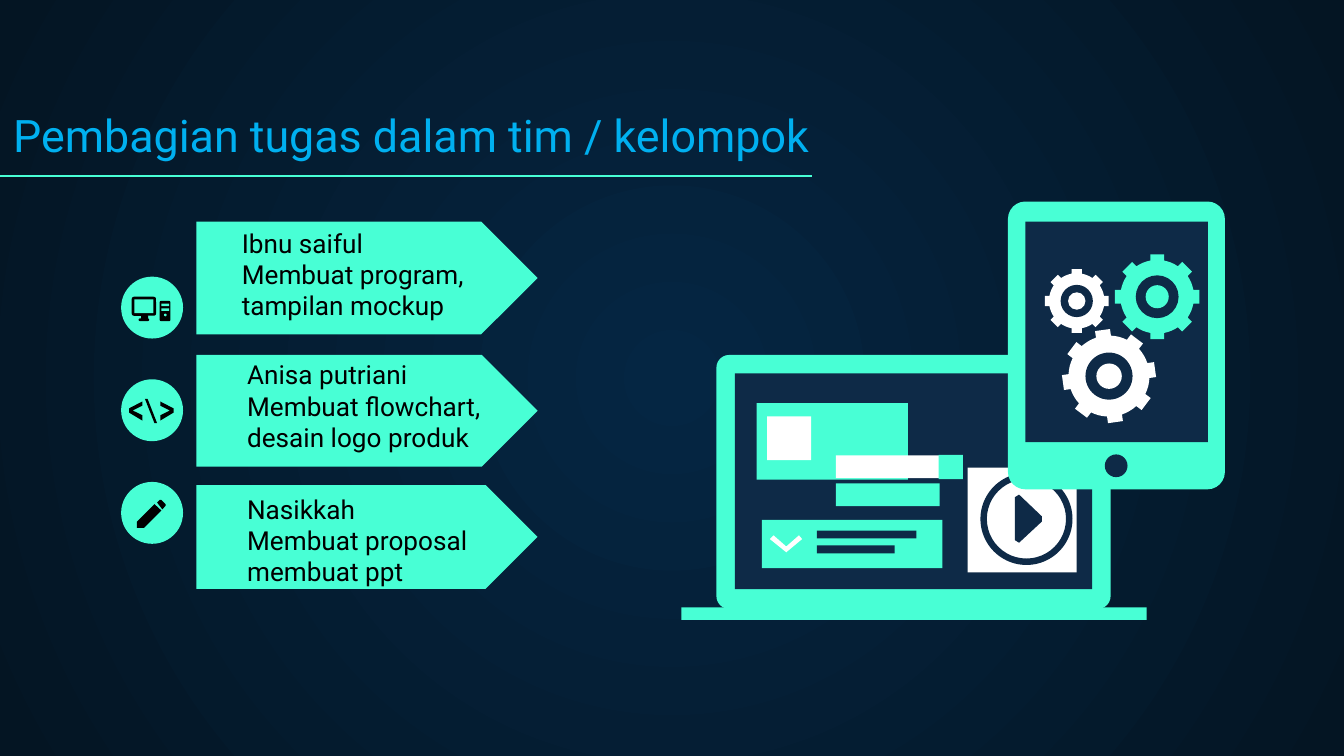
from dataclasses import dataclass
from math import asin, cos, pi, radians, sin
from typing import NamedTuple, Optional

from lxml.etree import SubElement
from pptx import Presentation
from pptx.dml.color import RGBColor
from pptx.enum.shapes import MSO_CONNECTOR as Connector, MSO_SHAPE as Preset
from pptx.enum.text import MSO_ANCHOR as Anchor, MSO_AUTO_SIZE as AutoSize
from pptx.oxml.ns import qn
from pptx.util import Cm, Pt


@dataclass(frozen=True)
class Theme:
    accent: str = "48FFD5"
    navy: str = "0E2A47"
    white: str = "FFFFFF"
    black: str = "000000"
    title: str = "00B0F0"
    glow: str = "052643"
    edge: str = "041523"
    font: str = "Roboto"
    title_size: float = 24
    body_size: float = 14
    line_width: float = 0.75


THEME = Theme()


class Box(NamedTuple):
    """Left, top, width and height in centimetres."""
    left: float
    top: float
    width: float
    height: float


class Part(NamedTuple):
    box: Box
    color: str
    preset: Preset = Preset.RECTANGLE
    adjustment: Optional[float] = None


class Outline(NamedTuple):
    points: list
    color: str = THEME.black


class Gear(NamedTuple):
    x: float
    y: float
    radius: float
    color: str
    turn: float = 0


class Task(NamedTuple):
    text: str
    arrow: Box
    text_box: Box


TASKS = [
    Task("Ibnu saiful\vMembuat program, tampilan mockup",
         Box(3.71, 4.19, 6.45, 2.13), Box(4.32, 5.79, 5.77, 0.53)),
    Task("Anisa putriani\vMembuat flowchart,\vdesain logo produk",
         Box(3.71, 6.71, 6.45, 2.11), Box(4.42, 8.28, 5.77, 0.53)),
    Task("Nasikkah\vMembuat proposal\vmembuat ppt",
         Box(3.71, 9.17, 6.45, 1.96), Box(4.42, 10.82, 5.77, 0.53)),
]

BADGE_LEFT, BADGE_TOP, BADGE_SIZE, BADGE_STEP = 2.29, 5.23, 1.17, 1.94

COMPUTER_ICON = [
    Part(Box(2.49, 5.61, 0.46, 0.36), THEME.black, Preset.ROUNDED_RECTANGLE, 0.12),
    Part(Box(2.54, 5.66, 0.36, 0.26), THEME.accent),
    Part(Box(2.67, 5.96, 0.13, 0.08), THEME.black),
    Part(Box(2.62, 6.02, 0.2, 0.05), THEME.black, Preset.ROUNDED_RECTANGLE, 0.5),
    Part(Box(3.02, 5.69, 0.2, 0.38), THEME.black, Preset.ROUNDED_RECTANGLE, 0.1),
    Part(Box(3.05, 5.74, 0.15, 0.05), THEME.accent),
    Part(Box(3.05, 5.83, 0.15, 0.05), THEME.accent),
    Part(Box(3.1, 5.93, 0.05, 0.05), THEME.accent, Preset.OVAL),
]

LEFT_BRACKET = [(2.69, 7.95), (2.44, 7.8), (2.44, 7.72), (2.69, 7.59),
                (2.69, 7.67), (2.51, 7.76), (2.69, 7.85)]
CODE_ICON = [
    Outline(LEFT_BRACKET),
    Outline([(2.92, 8), (2.74, 7.54), (2.79, 7.54), (2.97, 8)]),
    Outline([(5.72 - x, y) for x, y in LEFT_BRACKET]),
]
PENCIL_ICON = [
    Outline([(2.92, 9.53), (2.59, 9.86), (2.59, 9.98), (2.72, 9.98), (3.05, 9.65)]),
    Outline([(2.97, 9.5), (3.02, 9.45), (3.05, 9.45), (3.13, 9.53),
             (3.13, 9.56), (3.07, 9.63)]),
]

LAPTOP = [
    Part(Box(13.54, 6.71, 7.45, 4.8), THEME.accent, Preset.ROUNDED_RECTANGLE, 0.05),
    Part(Box(13.89, 7.06, 6.75, 4.08), THEME.navy),
    Part(Box(12.88, 11.48, 8.79, 0.24), THEME.accent),
    Part(Box(14.3, 7.62, 2.86, 1.45), THEME.accent),
    Part(Box(14.5, 7.87, 0.83, 0.83), THEME.white),
    Part(Box(14.4, 9.83, 3.41, 0.91), THEME.accent),
    Part(Box(15.44, 10.03, 1.88, 0.15), THEME.navy),
    Part(Box(15.44, 10.31, 1.47, 0.15), THEME.navy),
    Part(Box(15.8, 9.14, 1.96, 0.43), THEME.accent),
    Part(Box(15.8, 8.61, 1.96, 0.43), THEME.white),
    Part(Box(17.74, 8.6, 0.46, 0.46), THEME.accent),
    Part(Box(18.29, 8.84, 2.06, 1.98), THEME.white),
    Part(Box(18.53, 8.94, 1.74, 1.74), THEME.navy, Preset.DONUT, 0.07),
]
LAPTOP_MARKS = [
    Outline([(14.55, 10.19), (14.62, 10.12), (14.86, 10.33), (15.1, 10.12),
             (15.16, 10.19), (14.86, 10.44)], THEME.white),
    Outline([(19.18, 9.4), (19.26, 9.35), (19.69, 9.76), (19.69, 9.86),
             (19.26, 10.26), (19.18, 10.21)], THEME.navy),
]
TABLET = [
    Part(Box(19.05, 3.81, 4.1, 5.44), THEME.accent, Preset.ROUNDED_RECTANGLE, 0.08),
    Part(Box(19.38, 4.19, 3.45, 4.17), THEME.navy),
    Part(Box(20.88, 8.59, 0.43, 0.43), THEME.navy, Preset.OVAL),
]
GEARS = [
    Gear(21.87, 5.61, 0.81, THEME.accent),
    Gear(20.35, 5.69, 0.61, THEME.white),
    Gear(20.96, 7.11, 0.89, THEME.white, -8),
]


def paint(shape, color: str) -> None:
    shape.shadow.inherit = False
    shape.fill.solid()
    shape.fill.fore_color.rgb = RGBColor.from_string(color)
    shape.line.fill.background()


def draw_part(slide, part: Part) -> None:
    shape = slide.shapes.add_shape(part.preset, *map(Cm, part.box))
    if part.adjustment is not None:
        shape.adjustments[0] = part.adjustment
    paint(shape, part.color)


def draw_outline(slide, outline: Outline) -> None:
    start, *others = [(Cm(x), Cm(y)) for x, y in outline.points]
    builder = slide.shapes.build_freeform(*start)
    builder.add_line_segments(others, close=True)
    paint(builder.convert_to_shape(), outline.color)


def draw_gear(slide, gear: Gear) -> None:
    """Draw eight teeth on a round body, then the dark ring and the hub."""
    teeth, root, half_tooth = 8, 0.86, 0.16
    base_angle, tip_angle = asin(half_tooth / root), asin(half_tooth)
    gap = 2 * pi / teeth - 2 * base_angle
    profile = [(root, -base_angle), (1, -tip_angle), (1, tip_angle)]
    profile += [(root, base_angle + gap * step / 4) for step in range(4)]
    points = []
    for tooth in range(teeth):
        turn = radians(gear.turn) + tooth * 2 * pi / teeth
        points += [(gear.x + gear.radius * reach * cos(turn + angle),
                    gear.y + gear.radius * reach * sin(turn + angle))
                   for reach, angle in profile]
    draw_outline(slide, Outline(points, gear.color))
    for ratio, color in ((0.5, THEME.navy), (0.27, gear.color)):
        radius = gear.radius * ratio
        box = Box(gear.x - radius, gear.y - radius, 2 * radius, 2 * radius)
        draw_part(slide, Part(box, color, Preset.OVAL))


def draw_text(slide, text: str, box: Box, size: float, color: str) -> None:
    frame = slide.shapes.add_textbox(*map(Cm, box)).text_frame
    frame_format = {"word_wrap": True, "auto_size": AutoSize.NONE,
                    "vertical_anchor": Anchor.BOTTOM}
    frame_format |= {f"margin_{side}": Cm(0.25)
                     for side in ("left", "top", "right", "bottom")}
    for name, value in frame_format.items():
        setattr(frame, name, value)
    paragraph = frame.paragraphs[0]
    paragraph.text = text
    for run in paragraph.runs:
        for name, value in {"name": THEME.font, "size": Pt(size)}.items():
            setattr(run.font, name, value)
        run.font.color.rgb = RGBColor.from_string(color)


def draw_title_rule(slide) -> None:
    rule = slide.shapes.add_connector(
        Connector.STRAIGHT, Cm(0), Cm(3.33), Cm(15.34), Cm(3.33))
    rule.line.color.rgb = RGBColor.from_string(THEME.accent)
    rule.line.width = Pt(THEME.line_width)
    SubElement(rule._element.spPr, qn("a:effectLst"))


def set_radial_background(slide) -> None:
    fill = slide.background.fill
    fill.gradient()
    for stop, color in zip(fill.gradient_stops, (THEME.glow, THEME.edge)):
        stop.color.rgb = RGBColor.from_string(color)
    gradient = slide._element.find(".//" + qn("a:gradFill"))
    gradient.remove(gradient.find(qn("a:lin")))
    circle = SubElement(gradient, qn("a:path"), {"path": "circle"})
    SubElement(circle, qn("a:fillToRect"), dict.fromkeys("ltrb", "50000"))


def main() -> None:
    presentation = Presentation()
    presentation.slide_width, presentation.slide_height = Cm(25.4), Cm(14.29)
    slide = presentation.slides.add_slide(presentation.slide_layouts[6])
    set_radial_background(slide)
    draw_text(slide, "Pembagian tugas dalam tim / kelompok",
              Box(0, 1.57, 21.87, 1.73), THEME.title_size, THEME.title)
    draw_title_rule(slide)
    for index, task in enumerate(TASKS):
        draw_part(slide, Part(task.arrow, THEME.accent, Preset.PENTAGON, 0.5))
        draw_text(slide, task.text, task.text_box, THEME.body_size, THEME.black)
        badge = Box(BADGE_LEFT, BADGE_TOP + index * BADGE_STEP, BADGE_SIZE, BADGE_SIZE)
        draw_part(slide, Part(badge, THEME.accent, Preset.OVAL))
    for part in COMPUTER_ICON + LAPTOP:
        draw_part(slide, part)
    for outline in CODE_ICON + PENCIL_ICON + LAPTOP_MARKS:
        draw_outline(slide, outline)
    for part in TABLET:
        draw_part(slide, part)
    for gear in GEARS:
        draw_gear(slide, gear)
    presentation.save("out.pptx")


if __name__ == "__main__":
    main()
